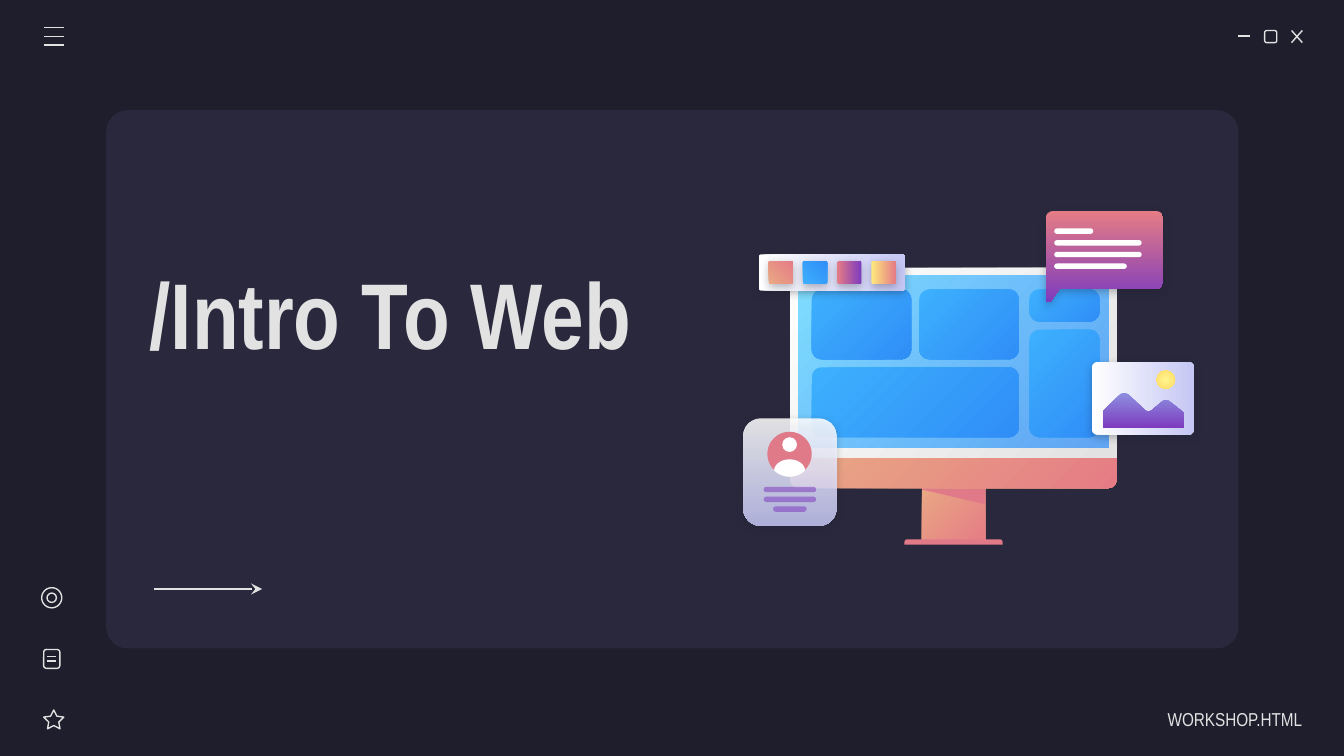
from dataclasses import dataclass
from math import cos, hypot, pi, sin

from lxml.etree import SubElement
from pptx import Presentation
from pptx.dml.color import RGBColor
from pptx.enum.shapes import MSO_CONNECTOR as Link, MSO_SHAPE as Form
from pptx.enum.text import MSO_ANCHOR as Anchor, PP_ALIGN as Align
from pptx.oxml.ns import qn
from pptx.util import Inches, Pt

COLORS = {
    "night": "1E1E2C", "panel": "29283D", "light": "E2E2E2", "white": "FFFFFF",
    "lilac": "C5C7F4", "iris": "8D90E1", "purple": "7E3BBE", "rose": "E07A88",
    "coral": "E57C85", "peach": "E9A984", "sky": "80DFFF", "azure": "318FFA",
    "blue": "3DB0FD", "deep": "308EF7", "lemon": "FFEA7D", "sun": "FFF68E", "gold": "FFD966",
}
FONT = "Arial Narrow"
COLS, ROWS = 1000, 562.5  # slide grid, one cell is 0.01 inch


def cells(count):
    return Inches(count / 100)


@dataclass
class Box:
    """An area of the slide grid; inner positions count from its corner."""
    left: float
    top: float
    width: float
    height: float

    def inner(self, col, row, width, height):
        return Box(self.left + col, self.top + row, width, height)

    def point(self, col, row):
        return cells(self.left + col), cells(self.top + row)

    def lengths(self):
        return [cells(n) for n in (self.left, self.top, self.width, self.height)]


def rgb(name):
    return RGBColor.from_string(COLORS[name])


def paint(shape, fill=None, angle=0, alphas=None, shadow=False):
    """Fill with one colour or a pair (gradient); with no fill, draw a light outline."""
    shape.shadow.inherit = False
    if fill is None:
        shape.fill.background()
        shape.line.color.rgb = rgb("light")
        shape.line.width = Pt(0.75)
        return shape
    shape.line.fill.background()
    if isinstance(fill, str):
        shape.fill.solid()
        shape.fill.fore_color.rgb = rgb(fill)
    else:
        shape.fill.gradient()
        shape.fill.gradient_angle = (360 - angle) % 360
        for stop, name in zip(shape.fill.gradient_stops, fill):
            stop.color.rgb = rgb(name)
    props = shape._element.spPr
    for color, alpha in zip(list(props.iter(qn("a:srgbClr"))), alphas or []):
        SubElement(color, qn("a:alpha"), val=str(alpha * 1000))
    if shadow:
        outer = SubElement(props.find(qn("a:effectLst")), qn("a:outerShdw"),
                           blurRad=str(Pt(4.5)), dist=str(Pt(1.5)), dir="5400000", algn="bl")
        tint = SubElement(outer, qn("a:srgbClr"), val=COLORS["night"])
        SubElement(tint, qn("a:alpha"), val="30000")
    return shape


def add_form(parent, box, form, fill=None, radius=None, **style):
    shape = parent.shapes.add_shape(form, *box.lengths())
    if radius is not None:
        shape.adjustments[0] = min(0.5, radius / min(box.width, box.height))
    return paint(shape, fill, **style)


def add_outline(parent, box, points, fill, **style):
    start, *rest = [box.point(*point) for point in points]
    builder = parent.shapes.build_freeform(*start)
    builder.add_line_segments(rest, close=True)
    return paint(builder.convert_to_shape(), fill, **style)


def round_corners(corners, steps=8):
    """Turn (col, row, radius) corners into points along a softened outline."""
    points = []
    for i, (col, row, radius) in enumerate(corners):
        ends = []
        for near in (corners[i - 1], corners[(i + 1) % len(corners)]):
            share = radius / hypot(near[0] - col, near[1] - row)
            ends.append((col + (near[0] - col) * share, row + (near[1] - row) * share))
        for t in [n / steps for n in range(steps + 1)] if radius else [0]:
            weights = (1 - t) ** 2, 2 * t * (1 - t), t ** 2
            trio = ends[0], (col, row), ends[1]
            points.append(tuple(sum(w * p[k] for w, p in zip(weights, trio)) for k in (0, 1)))
    return points


def add_stroke(parent, box, start, end, arrow=False):
    line = parent.shapes.add_connector(Link.STRAIGHT, *box.point(*start), *box.point(*end))
    line.line.color.rgb = rgb("light")
    line.line.width = Pt(0.75)
    if arrow:
        SubElement(line.line._get_or_add_ln(), qn("a:tailEnd"), type="stealth")
    SubElement(line._element.spPr, qn("a:effectLst"))


def add_label(page, box, text, size, align, bold=False, right_inset=10):
    frame = page.shapes.add_textbox(*box.lengths()).text_frame
    frame.word_wrap = True
    frame.vertical_anchor = Anchor.MIDDLE
    frame.margin_left = frame.margin_top = frame.margin_bottom = cells(10)
    frame.margin_right = cells(right_inset)
    para = frame.paragraphs[0]
    para.text, para.alignment = text, align
    para.font.name, para.font.size, para.font.bold = FONT, Pt(size), bold
    para.font.color.rgb = rgb("light")


def draw_window_buttons(page, box):
    group = page.shapes.add_group_shape()
    add_stroke(group, box, (0, 4), (9, 4))
    add_form(group, box.inner(20, 0, 9, 9), Form.ROUNDED_RECTANGLE, radius=1.5)
    add_stroke(group, box, (40, 0), (48, 9))
    add_stroke(group, box, (48, 0), (40, 9))


def draw_menu(page, box):
    group = page.shapes.add_group_shape()
    for row in (0, box.height / 2, box.height):
        add_stroke(group, box, (0, row), (box.width, row))


def draw_side_icons(page, box):
    group = page.shapes.add_group_shape()
    # Rings
    add_form(group, box.inner(0, 0, 15, 15), Form.OVAL)
    add_form(group, box.inner(4, 4, 7, 7), Form.OVAL)
    # Note
    add_form(group, box.inner(1.5, 46, 12, 14), Form.ROUNDED_RECTANGLE, radius=2)
    for row in (51, 54.5):
        add_stroke(group, box, (4, row), (11, row))
    # Star
    star = add_form(group, box.inner(1.5, 91, 15, 14), Form.STAR_5_POINT)
    star.adjustments[0] = 0.25


def draw_monitor(page, box):
    group = page.shapes.add_group_shape()
    warm = ("peach", "coral")
    # Stand and its shade
    add_form(group, box.inner(98, 162, 47, 43), Form.RECTANGLE, warm, angle=45)
    add_form(group, box.inner(85, 202, 73, 4), Form.ROUND_2_SAME_RECTANGLE, "rose", radius=2)
    add_outline(group, box, [(98, 162), (98, 165), (145, 176), (145, 162)], "rose")
    # Chin, frame and screen
    chin = add_form(group, box.inner(0, 140, box.width, 24), Form.ROUND_2_SAME_RECTANGLE,
                    warm, radius=0, angle=45)
    chin.adjustments[1] = 0.27
    add_form(group, box.inner(0, 0, box.width, 141), Form.ROUND_2_SAME_RECTANGLE,
             ("white", "light"), radius=6, angle=45)
    add_form(group, box.inner(6, 6, 231, 128), Form.RECTANGLE, ("sky", "azure"),
             angle=45, alphas=(100, 72))
    # Tiles
    for tile in ((16, 16, 74, 52), (16, 74, 154, 52), (96, 16, 74, 52),
                 (178, 16, 52, 24), (178, 46, 52, 80)):
        add_form(group, box.inner(*tile), Form.ROUNDED_RECTANGLE, ("blue", "deep"),
                 radius=7.5, angle=45)


def draw_speech_bubble(page, box):
    group = page.shapes.add_group_shape()
    wide, tall = box.width, box.height
    corners = [(0, 0, 6), (wide, 0, 6), (wide, 58, 6), (10, 58, 0), (3, tall, 1), (0, tall, 1)]
    add_outline(group, box, round_corners(corners), ("coral", "purple"), angle=90, shadow=True)
    for i, length in enumerate((29, 65, 65, 54)):
        add_form(group, box.inner(6, 13 + 8.7 * i, length, 4), Form.ROUNDED_RECTANGLE,
                 "white", radius=2)


def draw_profile_card(page, box):
    group = page.shapes.add_group_shape()
    add_form(group, box, Form.ROUNDED_RECTANGLE, ("white", "lilac"), radius=13,
             angle=90, alphas=(86, 86), shadow=True)
    # Person
    add_form(group, box.inner(18, 10, 33, 33), Form.OVAL, "rose")
    add_form(group, box.inner(29, 14, 11, 11), Form.OVAL, "white")
    turns = [pi * n / 16 for n in range(17)]
    top = [(34.5 - 11.5 * cos(a), 39 - 8.5 * sin(a)) for a in turns]
    bottom = [(34.5 + 16.5 * cos(pi / 4 + a / 2), 27 + 16.5 * sin(pi / 4 + a / 2)) for a in turns]
    add_outline(group, box, top + bottom, "white")
    # Text bars
    for i, length in enumerate((39, 39, 25)):
        add_form(group, box.inner((box.width - length) / 2, 51 + 7.25 * i, length, 4),
                 Form.ROUNDED_RECTANGLE, "purple", radius=2, alphas=(54,))


def draw_photo(page, box):
    group = page.shapes.add_group_shape()
    add_form(group, box, Form.ROUNDED_RECTANGLE, ("white", "lilac"), radius=4, shadow=True)
    hills = [(8, 37, 1.5), (24, 21, 5), (42, 38, 4), (55, 27, 4),
             (69, 38, 1.5), (69, 49, 3), (8, 49, 3)]
    add_outline(group, box, round_corners(hills), ("iris", "purple"), angle=90)
    # Sun with a radial gradient
    sun = add_form(group, box.inner(48, 6, 14, 14), Form.OVAL, ("sun", "gold"))
    gradient = sun._element.spPr.find(qn("a:gradFill"))
    gradient.remove(gradient.find(qn("a:lin")))
    radial = SubElement(gradient, qn("a:path"), {"path": "circle"})
    SubElement(radial, qn("a:fillToRect"), dict.fromkeys("ltrb", "50000"))


def draw_palette(page, box):
    group = page.shapes.add_group_shape()
    add_form(group, box, Form.ROUNDED_RECTANGLE, ("white", "lilac"), radius=2, shadow=True)
    swatches = (("peach", "coral", 315), ("blue", "deep", 315),
                ("coral", "purple", 0), ("lemon", "coral", 0))
    for i, (first, last, angle) in enumerate(swatches):
        add_form(group, box.inner(7.5 + 25.5 * i, 5, 18, 17), Form.ROUNDED_RECTANGLE,
                 (first, last), radius=1.2, angle=angle, shadow=True)


def draw_main_panel(page, box):
    add_form(page, box, Form.ROUNDED_RECTANGLE, "panel", radius=16)
    add_label(page, box.inner(22.5, 62.5, 447, 176), "/Intro To Web", 50, Align.LEFT, bold=True)
    # Illustration, back to front
    draw_monitor(page, box.inner(509, 117.3, 243, 206))
    draw_speech_bubble(page, box.inner(699.4, 75, 87, 68))
    draw_profile_card(page, box.inner(474, 229.3, 69.4, 80))
    draw_photo(page, box.inner(733.4, 187.5, 76, 54))
    draw_palette(page, box.inner(485.4, 107.3, 109, 27))
    add_stroke(page, box, (35.5, 356.3), (116, 356.3), arrow=True)


def main():
    deck = Presentation()
    deck.slide_width, deck.slide_height = cells(COLS), cells(ROWS)
    page = deck.slides.add_slide(deck.slide_layouts[6])
    page.background.fill.solid()
    page.background.fill.fore_color.rgb = rgb("night")
    draw_main_panel(page, Box(79, 82, 842.5, 400.5))
    draw_window_buttons(page, Box(921, 22.7, 48, 9))
    draw_menu(page, Box(32.6, 20.5, 14.7, 13))
    draw_side_icons(page, Box(31, 437.3, 17, 105))
    add_label(page, Box(851.8, 520.3, 117, 30), "WORKSHOP.HTML", 10, Align.RIGHT, right_inset=0)
    deck.save("out.pptx")


if __name__ == "__main__":
    main()
